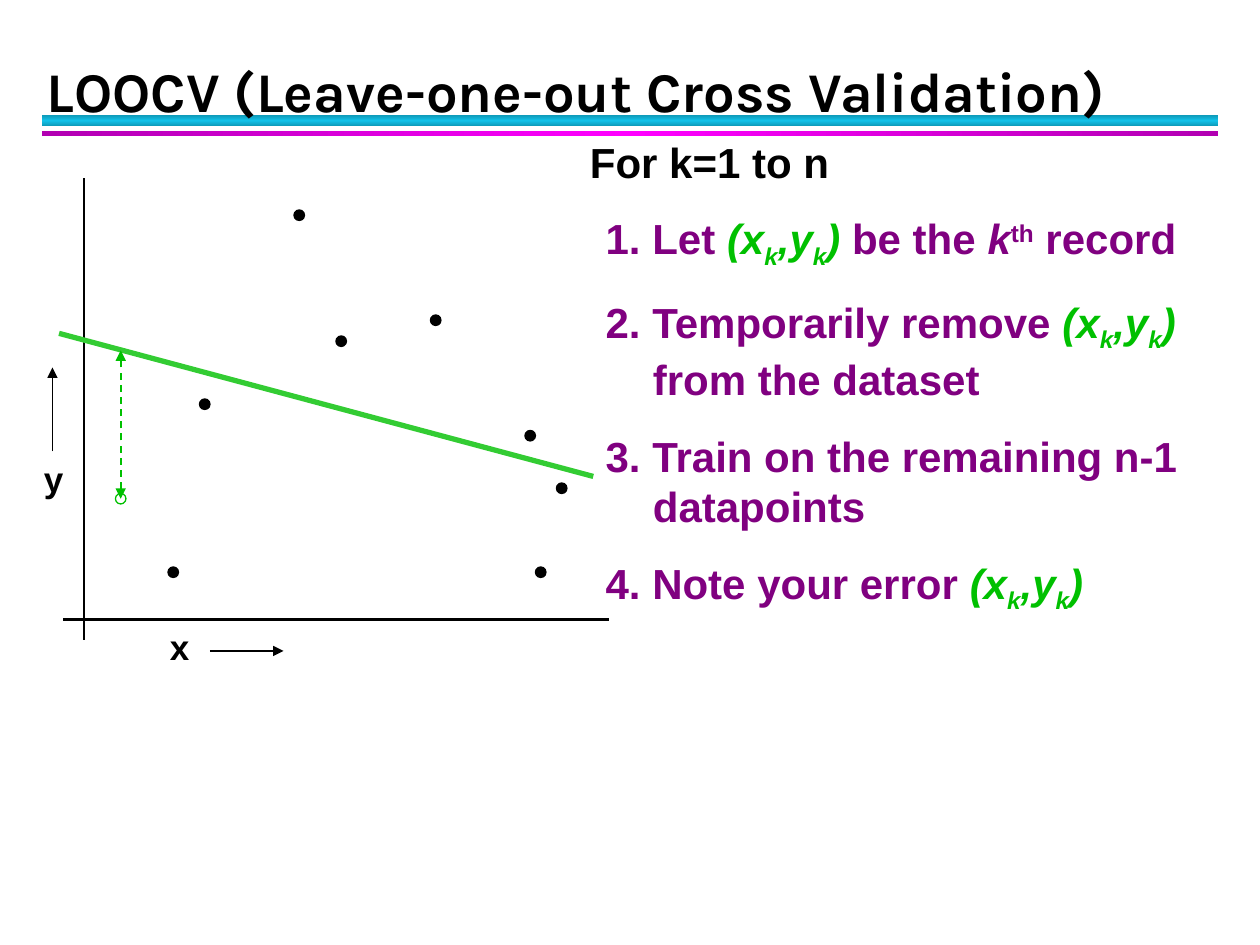
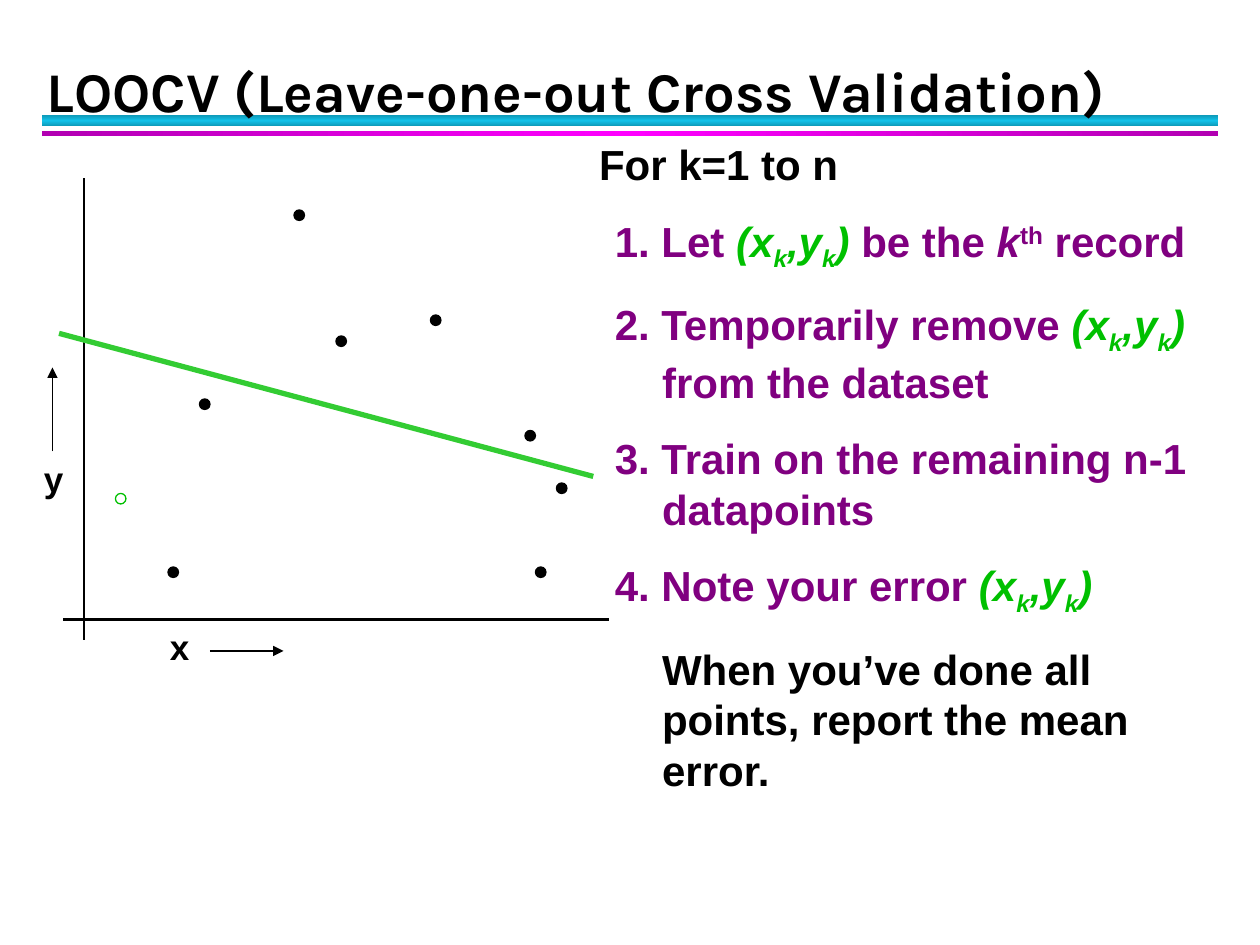
from copy import deepcopy
from dataclasses import dataclass
from typing import NamedTuple

from lxml import etree
from pptx import Presentation
from pptx.dml.color import RGBColor
from pptx.enum.dml import MSO_LINE
from pptx.enum.shapes import MSO_CONNECTOR, MSO_SHAPE
from pptx.enum.text import MSO_ANCHOR
from pptx.oxml.ns import qn
from pptx.util import Emu, Pt

PX = 9525  # EMU in one px, 96 px to the inch
BLACK, WHITE, PURPLE = "000000", "FFFFFF", "800080"
GREEN, FIT_GREEN = "00C000", "33CC33"
TITLE = "LOOCV (Leave-one-out Cross Validation)"
DOT = 8


class Box(NamedTuple):
    x: int
    y: int
    w: int
    h: int


class Run(NamedTuple):
    text: str
    color: str = PURPLE
    italic: bool = False
    baseline: int = 0


@dataclass(frozen=True)
class Band:
    box: Box
    edge: str
    middle: str
    angle: int


@dataclass(frozen=True)
class Line:
    x1: int
    y1: int
    x2: int
    y2: int
    color: str = BLACK
    width: float = 0.75
    heads: tuple[str, ...] = ()
    dash: bool = False


@dataclass(frozen=True)
class Para:
    runs: list[Run]
    margin: int = 0
    indent: int = 0


BANDS = [
    Band(Box(32, 88, 896, 8), "0E9BBA", "12C2E9", 90),
    Band(Box(32, 100, 896, 4), "B200B2", "FF00FF", 0),
]
# The fitted line stops short of the step numbers.
PLOT_LINES = [
    Line(64, 136, 64, 488, width=1.5),
    Line(48, 472, 464, 472, width=1.5),
    Line(160, 496, 216, 496, heads=("tailEnd",)),
    Line(40, 344, 40, 280, heads=("tailEnd",)),
    Line(45, 254, 452, 363, FIT_GREEN, 3),
]
ERROR_LINE = Line(92, 380, 92, 267, GREEN, 1, ("headEnd", "tailEnd"), True)
LEFT_OUT = (88, 376)
POINTS = [(128, 432), (152, 304), (224, 160), (256, 256),
          (328, 240), (408, 432), (424, 368), (400, 328)]
AXIS_LABELS = {"x": Box(120, 472, 40, 42), "y": Box(24, 344, 40, 42)}

RECORD = [Run("(x", GREEN, True), Run("k", GREEN, True, -25), Run(",y", GREEN, True),
          Run("k", GREEN, True, -25), Run(")", GREEN, True)]
STEPS = [
    [Run("1. Let "), *RECORD, Run(" be the "), Run("k", italic=True),
     Run("th", baseline=30), Run(" record")],
    [Run("2. Temporarily remove "), *RECORD, Run(" from the dataset")],
    [Run("3. Train on the remaining n-1 datapoints")],
    [Run("4. Note your error "), *RECORD],
]
LOOP = [Para([Run("For k=1 to n", BLACK)]), *(Para(step, 48, -36) for step in STEPS)]
REPORT = Para([Run("When you’ve done all points, report the mean error.", BLACK)], 48)


def rgb(color: str) -> RGBColor:
    return RGBColor.from_string(color)


def emu(*lengths: int) -> list[Emu]:
    return [Emu(n * PX) for n in lengths]


def put(obj, fmt: dict) -> None:
    """Set every attribute named in fmt."""
    for name, value in fmt.items():
        setattr(obj, name, value)


def add_band(s, band: Band) -> None:
    sp = s.shapes.add_shape(MSO_SHAPE.RECTANGLE, *emu(*band.box))
    sp.shadow.inherit = False
    sp.line.fill.background()
    sp.fill.gradient()
    sp.fill.gradient_angle = band.angle
    first = sp._element.spPr.find(qn("a:gradFill")).find(qn("a:gsLst"))[0]
    first.addnext(deepcopy(first))
    colors = (band.edge, band.middle, band.edge)
    for i, (stop, color) in enumerate(zip(sp.fill.gradient_stops, colors)):
        stop.position = i / 2
        stop.color.rgb = rgb(color)


def add_line(s, line: Line) -> None:
    ends = emu(line.x1, line.y1, line.x2, line.y2)
    cn = s.shapes.add_connector(MSO_CONNECTOR.STRAIGHT, *ends)
    cn.line.color.rgb = rgb(line.color)
    cn.line.width = Pt(line.width)
    if line.dash:
        cn.line.dash_style = MSO_LINE.DASH
    for head in line.heads:
        etree.SubElement(cn.line._get_or_add_ln(), qn(f"a:{head}"), type="triangle")
    etree.SubElement(cn._element.spPr, qn("a:effectLst"))


def add_dot(s, x: int, y: int, fill: str = BLACK, outline: str = BLACK) -> None:
    sp = s.shapes.add_shape(MSO_SHAPE.OVAL, *emu(x, y, DOT, DOT))
    sp.shadow.inherit = False
    sp.fill.solid()
    sp.fill.fore_color.rgb = rgb(fill)
    sp.line.color.rgb = rgb(outline)
    sp.line.width = Pt(0.75)


def add_text(s, box: Box, paras: list[Para], size: int, font: str = "Arial",
             anchor=MSO_ANCHOR.TOP, spacing=None) -> None:
    tf = s.shapes.add_textbox(*emu(*box)).text_frame
    put(tf, {"word_wrap": True, "vertical_anchor": anchor})
    for i, para in enumerate(paras):
        p = tf.add_paragraph() if i else tf.paragraphs[0]
        put(p, {"line_spacing": spacing, "space_before": Pt(15 if i else 0)})
        pPr = p._p.get_or_add_pPr()
        pPr.set("marL", str(para.margin * PX))
        pPr.set("indent", str(para.indent * PX))
        for run in para.runs:
            r = p.add_run()
            r.text = run.text
            put(r.font, {"name": font, "size": Pt(size), "bold": True,
                         "italic": run.italic})
            r.font.color.rgb = rgb(run.color)
            if run.baseline:
                r._r.get_or_add_rPr().set("baseline", str(run.baseline * 1000))


def add_plot(s) -> None:
    for line in PLOT_LINES:
        add_line(s, line)
    add_dot(s, *LEFT_OUT, WHITE, GREEN)
    for point in POINTS:
        add_dot(s, *point)
    for label, box in AXIS_LABELS.items():
        add_text(s, box, [Para([Run(label, BLACK)])], 20)


def add_loocv_slide(prs, text_box: Box, paras: list[Para]):
    """Add a slide with bands, title, algorithm text and scatter plot."""
    s = prs.slides.add_slide(prs.slide_layouts[6])
    for band in BANDS:
        add_band(s, band)
    add_text(s, Box(26, 19, 896, 80), [Para([Run(TITLE, BLACK)])], 32, "Karla",
             MSO_ANCHOR.BOTTOM, Pt(36))
    add_text(s, text_box, paras, 24)
    add_plot(s)
    return s


def main() -> None:
    prs = Presentation()
    put(prs, dict(zip(("slide_width", "slide_height"), emu(960, 720))))
    s = add_loocv_slide(prs, Box(440, 99, 503, 374), LOOP)
    add_line(s, ERROR_LINE)
    add_loocv_slide(prs, Box(447, 101, 503, 471), [*LOOP, REPORT])
    prs.save("out.pptx")


if __name__ == "__main__":
    main()
